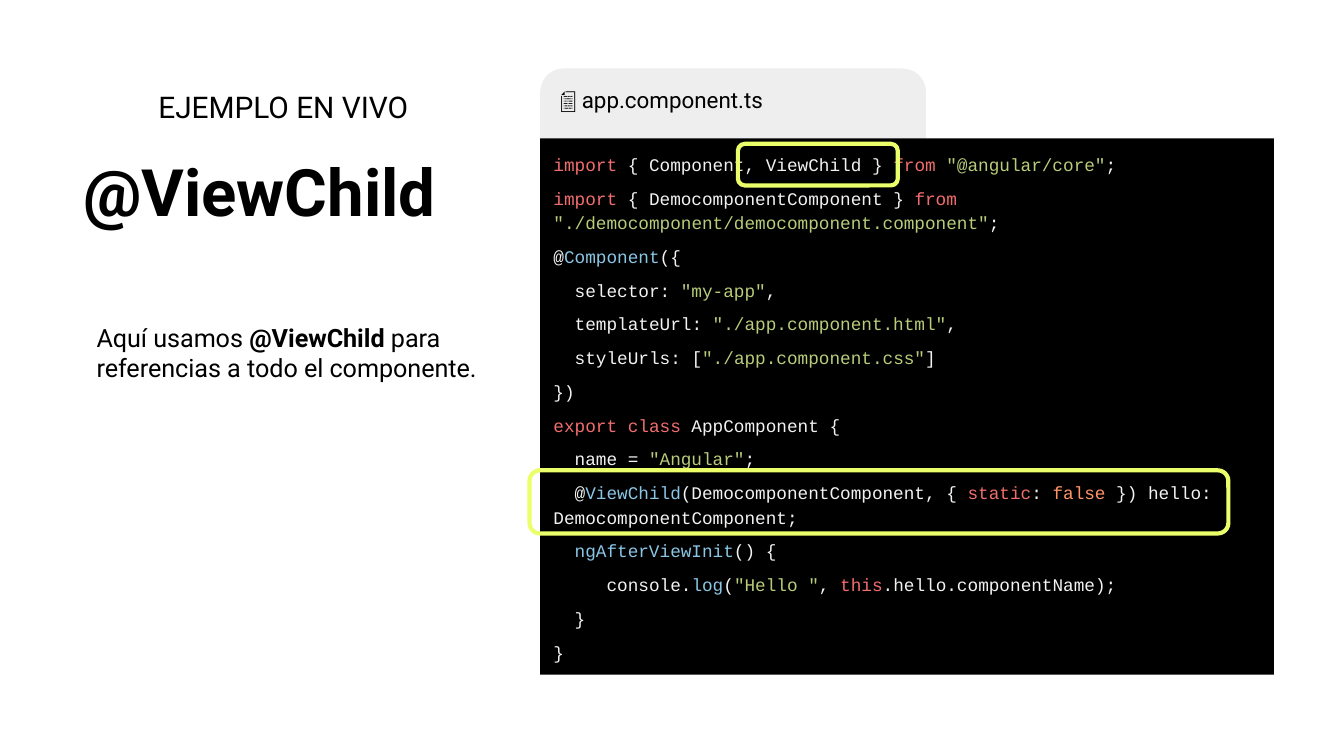
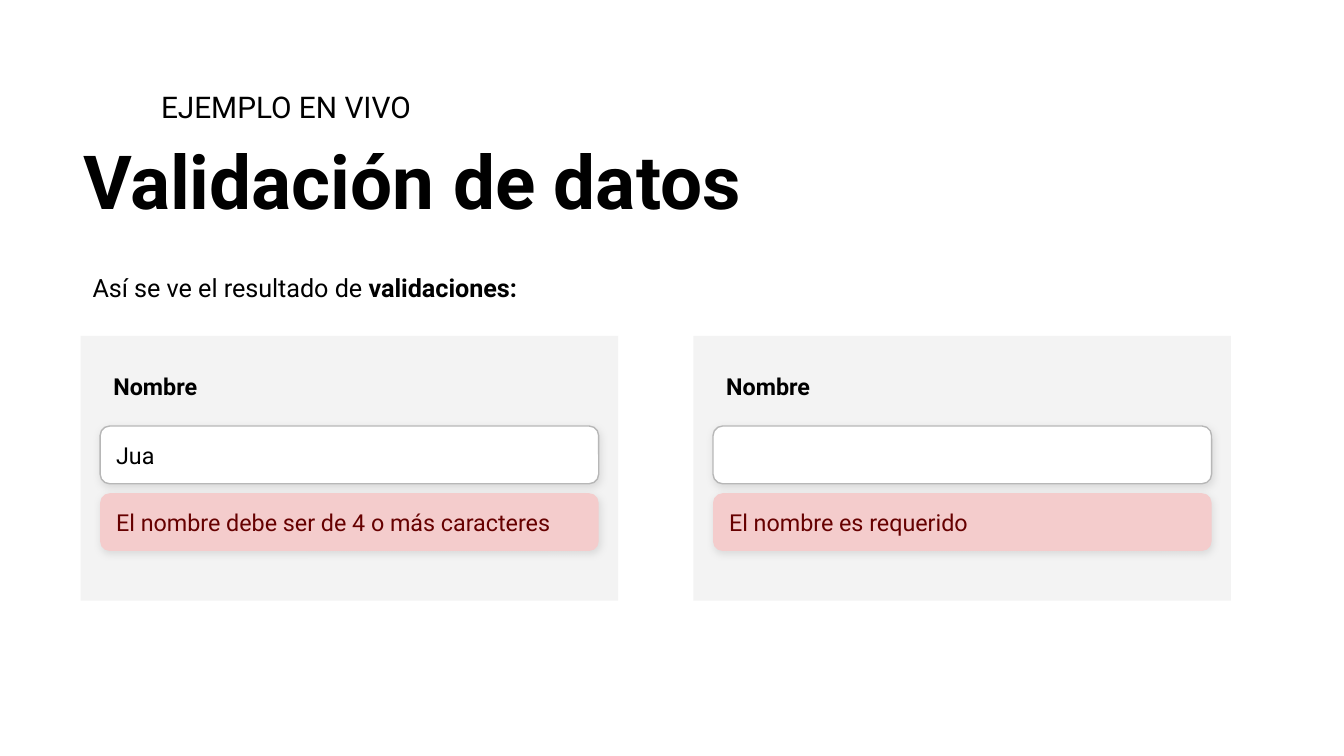
from dataclasses import dataclass

from lxml import etree
from pptx import Presentation
from pptx.dml.color import RGBColor
from pptx.enum.shapes import MSO_SHAPE
from pptx.enum.text import MSO_ANCHOR, PP_ALIGN
from pptx.oxml.ns import qn
from pptx.util import Inches, Pt

RECT, ROUNDED = MSO_SHAPE.RECTANGLE, MSO_SHAPE.ROUNDED_RECTANGLE
TOP, MIDDLE, LEFT = MSO_ANCHOR.TOP, MSO_ANCHOR.MIDDLE, PP_ALIGN.LEFT


@dataclass(frozen=True)
class Theme:
    font: str = "Roboto"
    code_font: str = "Courier New"
    text: str = "000000"
    tab: str = "EEEEEE"
    editor: str = "000000"
    highlight: str = "EAFF6A"
    panel: str = "F3F3F3"
    field: str = "FFFFFF"
    field_line: str = "B7B7B7"
    error: str = "F4CCCC"
    error_text: str = "660000"
    # Syntax colours
    plain: str = "F2F2F2"
    keyword: str = "F26D6D"
    string: str = "B8CC7A"
    name: str = "8AC7E6"
    literal: str = "FF9466"
    # Type sizes
    code_title_size: float = 35
    form_title_size: float = 40
    eyebrow_size: float = 16
    body_size: float = 13.5
    form_size: float = 12.5
    tab_size: float = 12
    code_size: float = 9.5


THEME = Theme()
PLAIN, KEY, STR = THEME.plain, THEME.keyword, THEME.string
NAME, LIT = THEME.name, THEME.literal

CODE_LINES = [
    [("import", KEY), (" { Component, ViewChild } ", PLAIN), ("from ", KEY),
     ('"@angular/core"', STR), (";", PLAIN)],
    [("import", KEY), (" { DemocomponentComponent } ", PLAIN), ("from ", KEY),
     ('"./democomponent/democomponent.component"', STR), (";", PLAIN)],
    [("@", PLAIN), ("Component", NAME), ("({", PLAIN)],
    [("  selector: ", PLAIN), ('"my-app"', STR), (",", PLAIN)],
    [("  templateUrl: ", PLAIN), ('"./app.component.html"', STR), (",", PLAIN)],
    [("  styleUrls: [", PLAIN), ('"./app.component.css"', STR), ("]", PLAIN)],
    [("})", PLAIN)],
    [("export class", KEY), (" AppComponent {", PLAIN)],
    [("  name = ", PLAIN), ('"Angular"', STR), (";", PLAIN)],
    [("  @", PLAIN), ("ViewChild", NAME), ("(DemocomponentComponent, { ", PLAIN),
     ("static", KEY), (": ", PLAIN), ("false", LIT),
     (" }) hello: DemocomponentComponent;", PLAIN)],
    [("  ", PLAIN), ("ngAfterViewInit", NAME), ("() {", PLAIN)],
    [("     console.", PLAIN), ("log", NAME), ("(", PLAIN), ('"Hello "', STR),
     (", ", PLAIN), ("this", KEY), (".hello.componentName);", PLAIN)],
    [("  }", PLAIN)],
    [("}", PLAIN)],
]


def inches(box):
    return [Inches(value) for value in box]


def prepare_frame(frame, anchor=TOP, top_inset=0.1):
    frame.word_wrap = True
    frame.vertical_anchor = anchor
    frame.margin_left = frame.margin_right = frame.margin_bottom = Inches(0.1)
    frame.margin_top = Inches(top_inset)


def add_runs(paragraph, runs, size, font=THEME.font):
    """Runs are (text, colour, bold) with bold optional."""
    paragraph.alignment = LEFT
    for text, color, *bold in runs:
        run = paragraph.add_run()
        run.text = text
        run.font.name = font
        run.font.size = Pt(size)
        run.font.bold = bool(bold and bold[0])
        run.font.color.rgb = RGBColor.from_string(color)


def add_label(shapes, box, runs, size, line_spacing=None):
    frame = shapes.add_textbox(*inches(box)).text_frame
    prepare_frame(frame)
    add_runs(frame.paragraphs[0], runs, size)
    if line_spacing:
        frame.paragraphs[0].line_spacing = line_spacing


def add_block(shapes, kind, box, fill=None, line=None, line_width=0.75):
    block = shapes.add_shape(kind, *inches(box))
    block.shadow.inherit = False
    if fill:
        block.fill.solid()
        block.fill.fore_color.rgb = RGBColor.from_string(fill)
    else:
        block.fill.background()
    if line:
        block.line.color.rgb = RGBColor.from_string(line)
        block.line.width = Pt(line_width)
    else:
        block.line.fill.background()
    return block


def add_soft_shadow(block):
    effects = block._element.spPr.find(qn("a:effectLst"))
    shadow = etree.SubElement(
        effects, qn("a:outerShdw"), blurRad=str(Pt(4.5)), dist=str(Pt(1.5)),
        dir=str(70 * 60000), algn="bl", rotWithShape="0")
    color = etree.SubElement(shadow, qn("a:srgbClr"), val="000000")
    etree.SubElement(color, qn("a:alpha"), val="10000")


def add_heading(slide, eyebrow_box, title_box, title, title_size):
    add_label(slide.shapes, title_box, [(title, THEME.text, True)], title_size, 0.9)
    add_label(slide.shapes, eyebrow_box, [("EJEMPLO EN VIVO", THEME.text)],
              THEME.eyebrow_size)


def add_editor(slide, box):
    left, top, width, height = box
    # File tab, partly behind the code
    tab = add_block(slide.shapes, ROUNDED, (left, top, 2.87, 1.06), THEME.tab)
    prepare_frame(tab.text_frame, top_inset=0.08)
    add_runs(tab.text_frame.paragraphs[0], [("📄 app.component.ts", THEME.text)],
             THEME.tab_size)

    # Code area
    tab_height = 0.52
    code = add_block(slide.shapes, RECT,
                     (left, top + tab_height, width, height - tab_height),
                     THEME.editor)
    frame = code.text_frame
    prepare_frame(frame, top_inset=0.09)
    for index, tokens in enumerate(CODE_LINES):
        paragraph = frame.add_paragraph() if index else frame.paragraphs[0]
        paragraph.line_spacing = 1.15
        paragraph.space_before = Pt(5 if index else 0)
        add_runs(paragraph, tokens, THEME.code_size, THEME.code_font)

    # Highlights around the import and the decorator
    for dx, dy, mark_width, mark_height in ((1.47, 0.56, 1.19, 0.31),
                                            (-0.08, 2.99, 5.2, 0.47)):
        add_block(slide.shapes, ROUNDED,
                  (left + dx, top + dy, mark_width, mark_height),
                  line=THEME.highlight, line_width=2.25)


def add_form_card(slide, box, value, error):
    left, top, width, _ = box
    shapes = slide.shapes.add_group_shape().shapes
    add_block(shapes, RECT, box, THEME.panel)
    field_width = 3.71
    field_left = left + (width - field_width) / 2
    add_label(shapes, (field_left, top + 0.17, field_width, 0.41),
              [("Nombre", THEME.text, True)], THEME.form_size)

    # Input and its error message
    rows = ((value, THEME.text, THEME.field, THEME.field_line),
            (error, THEME.error_text, THEME.error, None))
    for index, (text, color, fill, line) in enumerate(rows):
        row = add_block(shapes, ROUNDED,
                        (field_left, top + 0.67 + 0.5 * index, field_width, 0.43),
                        fill, line)
        add_soft_shadow(row)
        if text:
            prepare_frame(row.text_frame, MIDDLE)
            add_runs(row.text_frame.paragraphs[0], [(text, color)], THEME.form_size)


def build_code_slide(slide):
    add_label(slide.shapes, (0.62, 2.3, 3.67, 0.76),
              [("Aquí usamos ", THEME.text), ("@ViewChild", THEME.text, True),
               (" para referencias a todo el componente.", THEME.text)],
              THEME.body_size)
    add_editor(slide, (4.02, 0.51, 5.46, 4.51))
    add_heading(slide, (1.08, 0.56, 3.19, 0.47), (0.52, 1.09, 3.79, 0.73),
                "@ViewChild", THEME.code_title_size)


def build_validation_slide(slide):
    add_heading(slide, (1.1, 0.56, 2.2, 0.47), (0.52, 0.98, 7.27, 0.81),
                "Validación de datos", THEME.form_title_size)
    add_label(slide.shapes, (0.59, 1.93, 3.59, 0.43),
              [("Así se ve el resultado de ", THEME.text),
               ("validaciones:", THEME.text, True)], THEME.body_size)
    cards = (("Jua", "El nombre debe ser de 4 o más caracteres"),
             ("", "El nombre es requerido"))
    for index, (value, error) in enumerate(cards):
        add_form_card(slide, (0.6 + 4.56 * index, 2.5, 4, 1.97), value, error)


def main():
    deck = Presentation()
    # Widescreen, 16:9
    deck.slide_width = Inches(10)
    deck.slide_height = deck.slide_width * 9 // 16
    blank = deck.slide_layouts[6]
    for build in (build_code_slide, build_validation_slide):
        build(deck.slides.add_slide(blank))
    deck.save("out.pptx")


if __name__ == "__main__":
    main()
